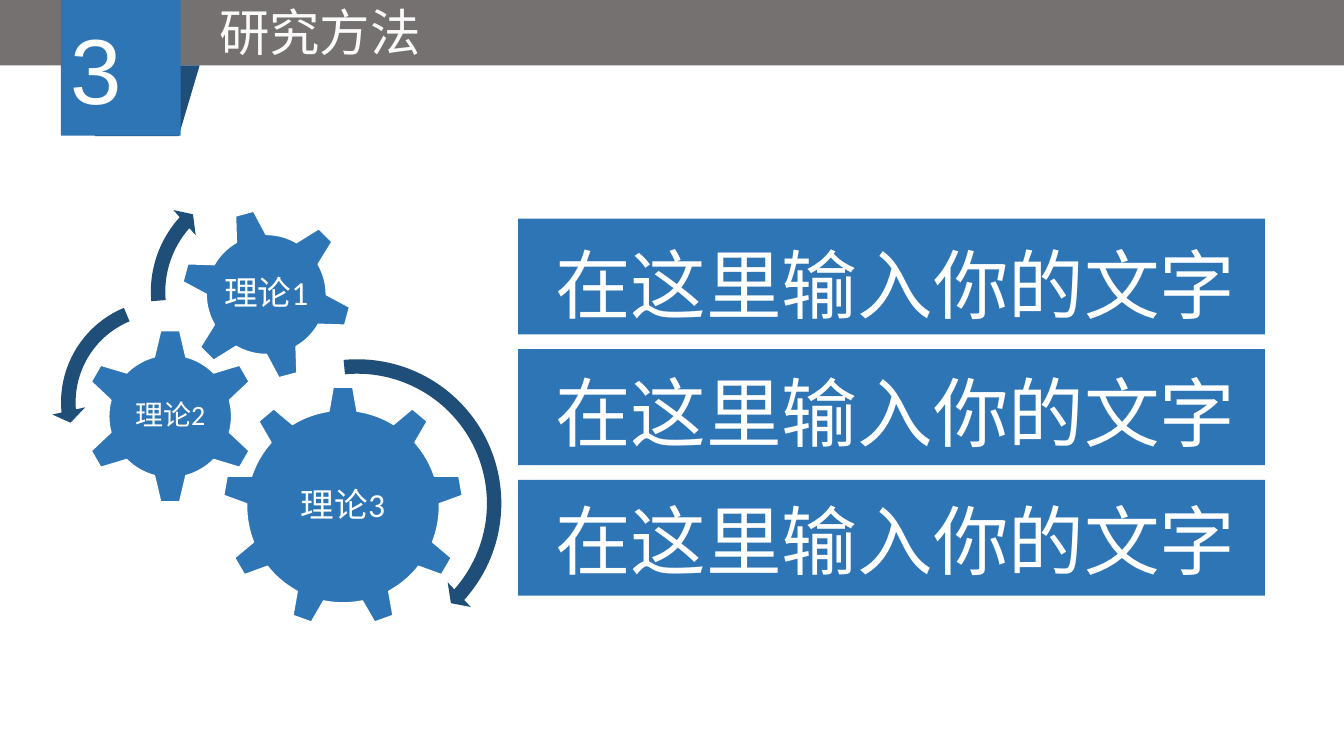
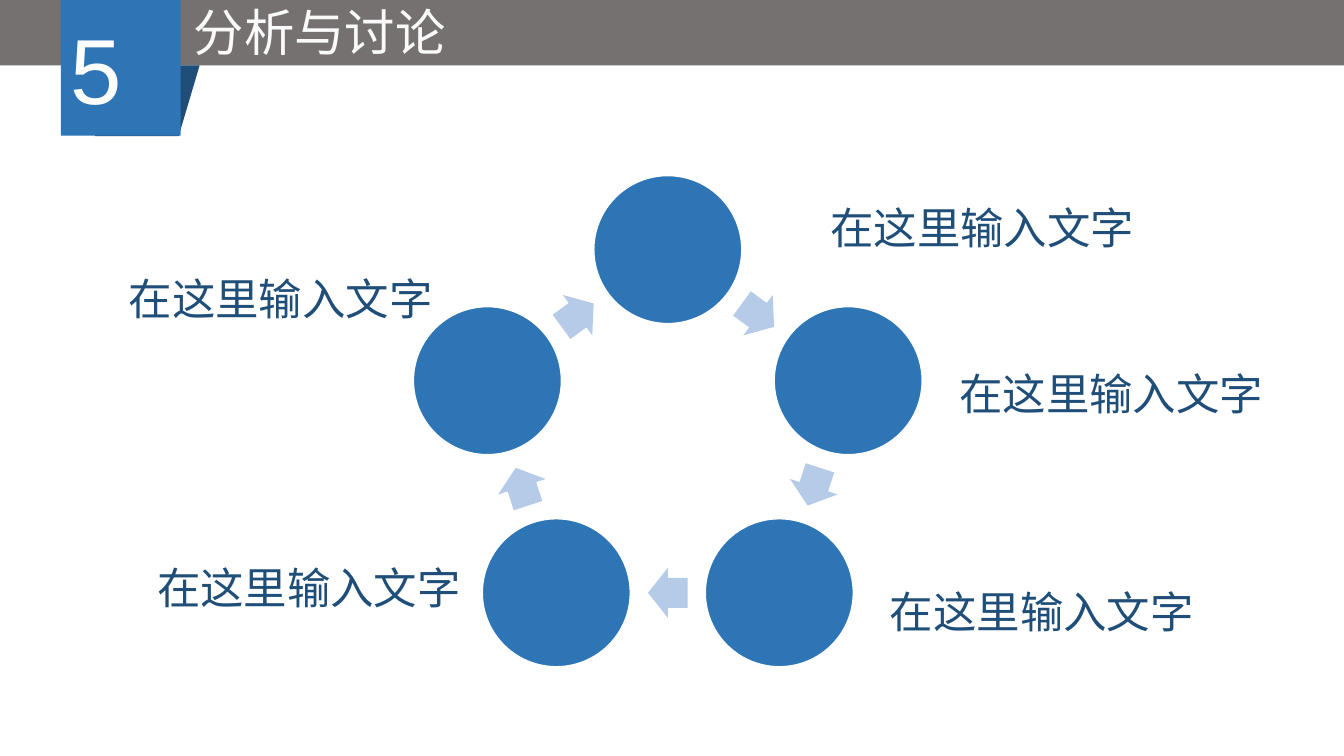
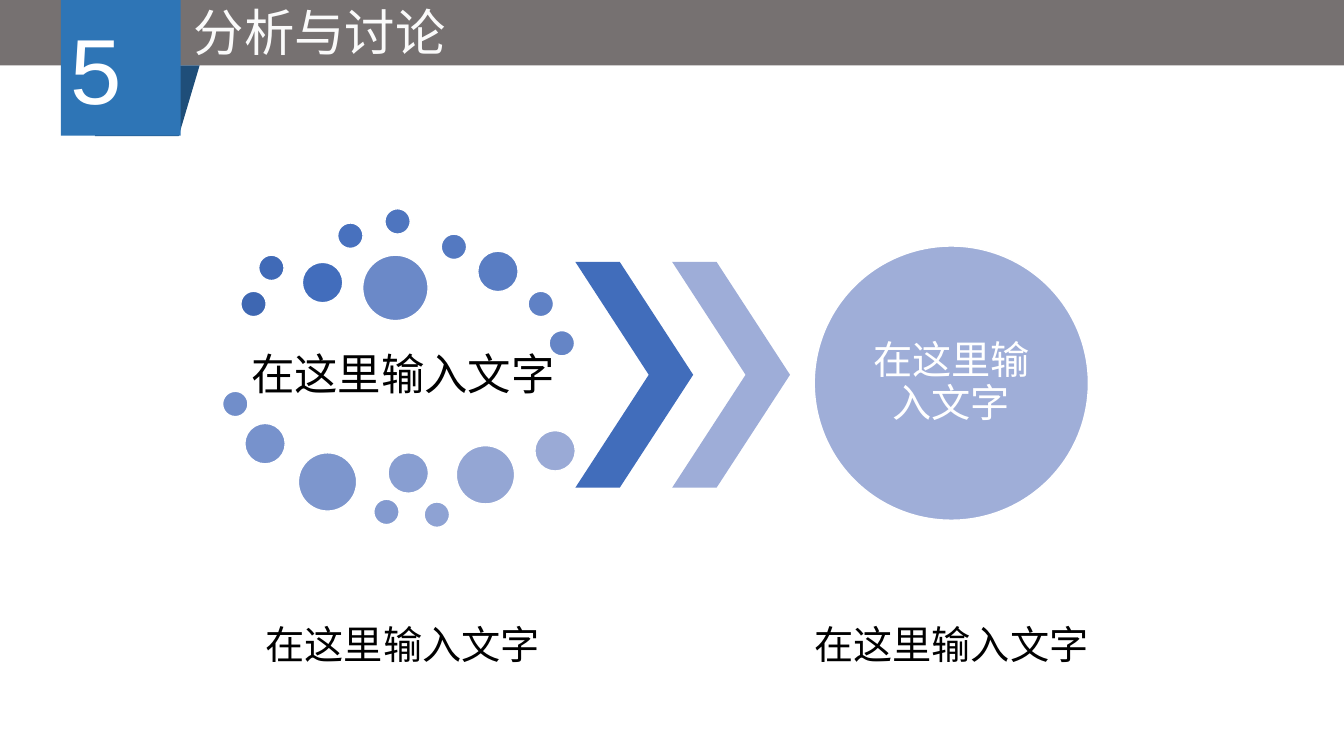
"""Build three slides on research method, analysis and discussion."""
from math import cos, pi, sin

from pptx import Presentation
from pptx.dml.color import RGBColor
from pptx.enum.shapes import MSO_SHAPE as Shape
from pptx.enum.text import MSO_ANCHOR as Anchor, MSO_AUTO_SIZE as AutoSize, PP_ALIGN as Align
from pptx.util import Cm, Pt

WHITE = RGBColor(0xFF, 0xFF, 0xFF)
OFF_WHITE = RGBColor(0xFA, 0xFA, 0xFA)
BLACK = RGBColor(0x00, 0x00, 0x00)
GREY = RGBColor(0x76, 0x71, 0x71)
BLUE = RGBColor(0x2E, 0x75, 0xB6)
NAVY = RGBColor(0x1F, 0x4E, 0x79)
PALE_BLUE = RGBColor(0xB5, 0xCB, 0xE7)
DOT_FIRST = RGBColor(0x3E, 0x67, 0xB2)
DOT_THIRD = RGBColor(0x42, 0x6D, 0xBC)
DOT_LAST = RGBColor(0x9A, 0xAA, 0xD6)
CHEVRON_DARK = RGBColor(0x41, 0x6D, 0xBB)
CHEVRON_LIGHT = RGBColor(0x9E, 0xAD, 0xD8)
RESULT = RGBColor(0x9F, 0xAE, 0xD8)

SLIDE_W, SLIDE_H = 33.87, 19.05
PROMPT = "在这里输入文字"
LONG_PROMPT = "在这里输入你的文字"

SMALL, MEDIUM, LARGE, HUGE = 0.64, 1.02, 1.47, 1.65
DOTS = [
    (0.46, 2.08, SMALL), (0.91, 1.17, SMALL), (2.01, 1.35, MEDIUM),
    (2.9, 0.36, SMALL), (4.09, 0, SMALL), (5.51, 0.64, SMALL),
    (6.43, 1.07, MEDIUM), (7.7, 2.08, SMALL), (8.23, 3.07, SMALL),
    (3.53, 1.17, HUGE), (0, 4.6, SMALL), (0.56, 5.41, MEDIUM),
    (1.91, 6.15, LARGE), (3.81, 7.32, SMALL), (4.17, 6.15, MEDIUM),
    (5.08, 7.39, SMALL), (5.89, 5.97, LARGE), (7.87, 5.59, MEDIUM),
]
GEARS = [
    (Shape.GEAR_9, 4.31, 5.41, 6.07, 0, "理论3", 24, 3.6),
    (Shape.GEAR_6, 0.78, 3.96, 4.42, 0, "理论2", 20, 2.2),
    (Shape.GEAR_6, 3.25, 0.94, 4.32, 345, "理论1", 24, 2.4),
]
TURNS = [
    (Shape.CIRCULAR_ARROW, 3.83, 4.49, 7.75, (0.047, 2.99, 25.106, 158.733, 0.055)),
    (Shape.LEFT_CIRCULAR_ARROW, 0, 3, 5.64, (0.065, 4.3, 104.891, 148.378, 0.075)),
    (Shape.CIRCULAR_ARROW, 2.26, 0, 6.07, (0.06, 3.941, 133.138, 105.082, 0.07)),
]
CYCLE_LABELS = [(20.7, 4.47), (23.95, 8.66), (22.2, 14.15), (3.73, 13.54), (3.02, 6.27)]


def blend(start, end, share):
    """Return the colour lying at a share of the way from start to end."""
    return RGBColor(*(round(a + (b - a) * share) for a, b in zip(start, end)))


def write(frame, text, size, color, font="Arial", align=Align.CENTER, spacing=None):
    """Write one formatted paragraph into a text frame."""
    paragraph = frame.paragraphs[0]
    paragraph.alignment = align
    paragraph.line_spacing = spacing
    run = paragraph.add_run()
    run.text = text
    run.font.size = Pt(size)
    run.font.name = font
    run.font.color.rgb = color


def add_text(slide, left, top, width, height, text, size, color, inset=None, **style):
    """Add a text box, centred vertically when an inset is given."""
    frame = slide.shapes.add_textbox(Cm(left), Cm(top), Cm(width), Cm(height)).text_frame
    frame.word_wrap = True
    if inset is None:
        frame.auto_size = AutoSize.SHAPE_TO_FIT_TEXT
    else:
        frame.vertical_anchor = Anchor.MIDDLE
        frame.margin_left = frame.margin_right = Cm(inset)
        frame.margin_top = frame.margin_bottom = Cm(inset)
        style.setdefault("spacing", 0.9)
    write(frame, text, size, color, **style)


def add_figure(slide, kind, left, top, width, height, fill, outlined=False, turn=0, adjust=()):
    """Add a flat filled preset shape, with a white outline on request."""
    figure = slide.shapes.add_shape(kind, Cm(left), Cm(top), Cm(width), Cm(height))
    figure.shadow.inherit = False
    figure.fill.solid()
    figure.fill.fore_color.rgb = fill
    if outlined:
        figure.line.color.rgb = WHITE
        figure.line.width = Pt(1)
    else:
        figure.line.fill.background()
    figure.rotation = turn
    for index, value in enumerate(adjust):
        figure.adjustments[index] = value
    return figure


def add_header(deck, number, title):
    """Add a blank slide with the title band and numbered ribbon."""
    slide = deck.slides.add_slide(deck.slide_layouts[6])
    add_figure(slide, Shape.RECTANGLE, 0, -0.03, SLIDE_W, 1.68, GREY)
    add_text(slide, 3.73, -0.1, 8.66, 1.8, title, 36, OFF_WHITE)
    add_figure(slide, Shape.FLOWCHART_DATA, 2.39, 1.65, 2.64, 1.78, NAVY, turn=180)
    badge = add_figure(slide, Shape.RECTANGLE, 1.32, 0.18, 3.45, 3.02, BLUE, turn=270)
    frame = badge.text_frame
    frame.vertical_anchor = Anchor.MIDDLE
    frame._txBody.bodyPr.set("vert", "eaVert")
    write(frame, number, 66, WHITE)
    return slide


def add_gears(slide, left, top):
    """Add the three labelled gears and their turning arrows."""
    for kind, x, y, size, turn, theory, points, room in GEARS:
        add_figure(slide, kind, left + x, top + y, size, size, BLUE, outlined=True, turn=turn)
        margin = (size - room) / 2
        add_text(slide, left + x + margin, top + y + margin, room, room, theory, points,
                 WHITE, inset=0.08, font="Calibri")
    for kind, x, y, size, adjust in TURNS:
        add_figure(slide, kind, left + x, top + y, size, size, NAVY, adjust=adjust)


def add_banners(slide, left, top, width, height):
    """Add three stacked banners, each with a line of text."""
    for row in range(3):
        add_figure(slide, Shape.RECTANGLE, left, top + 3.29 * row, width, height, BLUE)
        add_text(slide, left + 0.68, top + 0.36 + 3.23 * row, width - 0.68, 2.57,
                 LONG_PROMPT, 54, WHITE, align=Align.LEFT)


def add_cycle(slide, center_x, center_y, radius):
    """Add five discs on a ring with arrows pointing clockwise between them."""
    def place(kind, angle, distance, width, height, fill, **style):
        """Centre a figure at a clockwise angle from the top of the ring."""
        x = center_x + distance * sin(angle * pi / 180)
        y = center_y - distance * cos(angle * pi / 180)
        add_figure(slide, kind, x - width / 2, y - height / 2, width, height, fill, **style)

    for angle in range(0, 360, 72):
        place(Shape.OVAL, angle, radius, 3.73, 3.73, BLUE, outlined=True)
        place(Shape.RIGHT_ARROW, angle + 36, radius * cos(pi / 5), 1, 1.26, PALE_BLUE,
              turn=angle + 36, adjust=(0.6, 0.5))


def add_dot_cloud(slide, left, top):
    """Add the shaded dots around a phrase, with a caption below."""
    for index, (x, y, size) in enumerate(DOTS):
        if index < 2:
            fill = blend(DOT_FIRST, DOT_THIRD, index / 2)
        else:
            fill = blend(DOT_THIRD, DOT_LAST, (index - 2) / (len(DOTS) - 3))
        add_figure(slide, Shape.OVAL, left + x, top + y, size, size, fill, outlined=True)
    for y, height, size in ((2.89, 2.67, 31), (8.53, 5, 28)):
        add_text(slide, left + 0.49, top + y, 8.1, height, PROMPT, size, BLACK,
                 inset=0.1, font="Calibri")


def add_chevrons(slide, left, top):
    """Add the two chevrons leading to the result."""
    for step, fill in enumerate((CHEVRON_DARK, CHEVRON_LIGHT)):
        add_figure(slide, Shape.CHEVRON, left + 2.44 * step, top, 2.97, 5.69, fill,
                   adjust=(0.623,))


def add_result(slide, left, top, size):
    """Add the result disc with its text and caption."""
    add_figure(slide, Shape.OVAL, left, top, size, size, RESULT, outlined=True)
    room = size - 2.04
    add_text(slide, left + 1.02, top + 1.02, room, room, PROMPT, 28, WHITE,
             inset=0, font="Calibri")
    add_text(slide, left - 0.61, top + 7.59, 8.13, 5, PROMPT, 28, BLACK,
             inset=0.1, font="Calibri")


def build_method(deck):
    """Build the research method slide."""
    slide = add_header(deck, "3", "研究方法")
    add_gears(slide, 1.3, 4.32)
    add_banners(slide, 13.06, 5.51, 18.82, 2.92)


def build_cycle(deck):
    """Build the discussion slide with the five-step cycle."""
    slide = add_header(deck, "5", "分析与讨论")
    add_cycle(slide, 16.83, 11.07, 4.78)
    for left, top in CYCLE_LABELS:
        add_text(slide, left, top, 8.1, 2.67, PROMPT, 31, NAVY, inset=0.1)


def build_outcome(deck):
    """Build the discussion slide that leads from dots to a result."""
    slide = add_header(deck, "5", "分析与讨论")
    add_dot_cloud(slide, 5.61, 5.26)
    add_chevrons(slide, 14.5, 6.6)
    add_result(slide, 20.52, 6.2, 6.91)


def main():
    """Build and save the presentation."""
    deck = Presentation()
    deck.slide_width, deck.slide_height = Cm(SLIDE_W), Cm(SLIDE_H)
    build_method(deck)
    build_cycle(deck)
    build_outcome(deck)
    deck.save("out.pptx")


if __name__ == "__main__":
    main()
